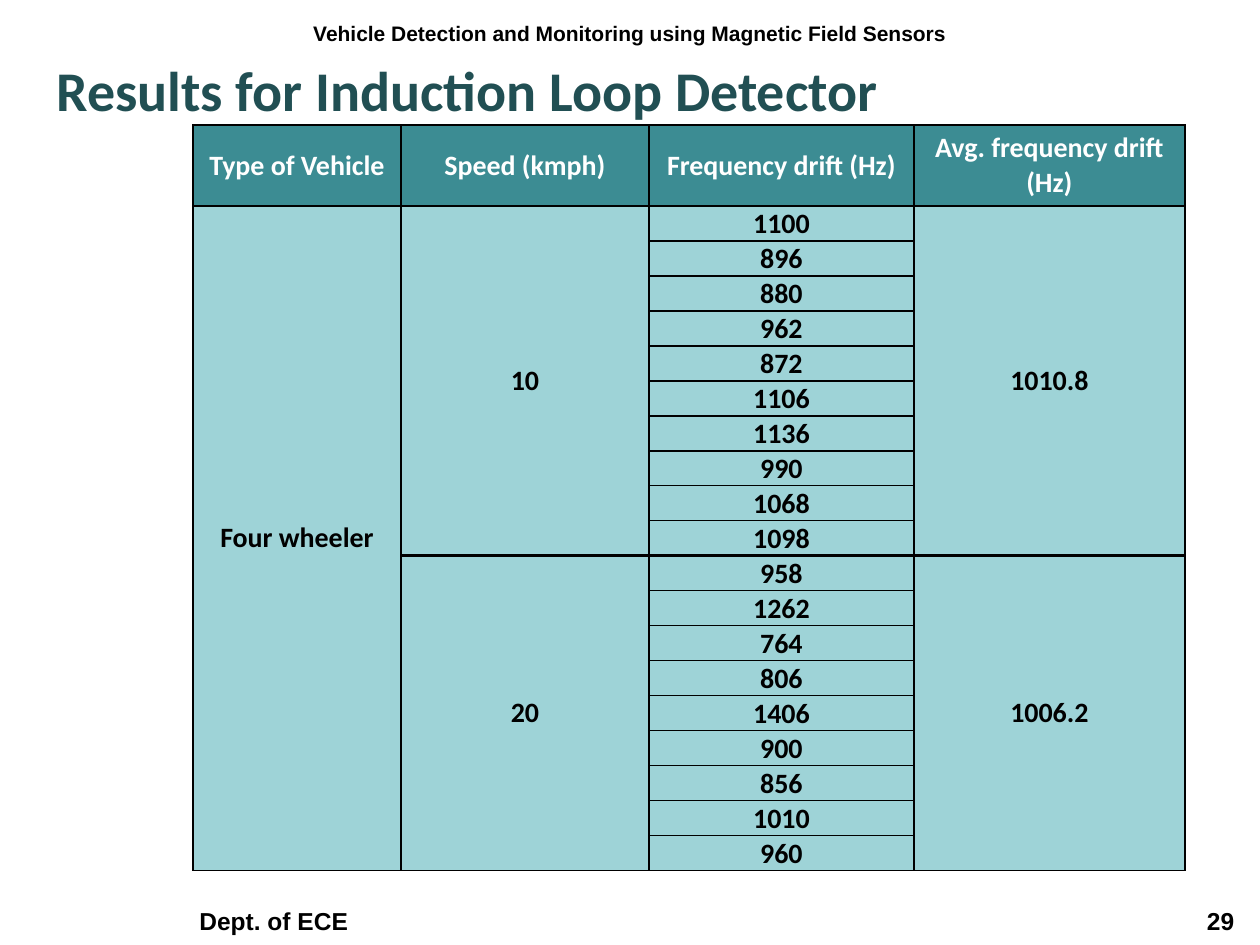
from dataclasses import dataclass

from lxml.etree import SubElement
from pptx import Presentation
from pptx.dml.color import RGBColor
from pptx.enum.text import MSO_ANCHOR, PP_ALIGN
from pptx.oxml.ns import qn
from pptx.util import Emu, Pt

PX = 914400 // 126


@dataclass(frozen=True)
class Theme:
    """Colours, fonts and type sizes of the slide."""
    ink: str = "000000"
    heading: str = "214F53"
    head_fill: str = "3C8C93"
    body_fill: str = "9ED3D7"
    head_ink: str = "FFFFFF"
    sans: str = "Arial"
    body: str = "Calibri"
    running_size: int = 12
    footer_size: int = 14
    table_size: int = 16
    heading_size: int = 32
    rule: float = 1
    divider: float = 2.25


def px(length):
    """Turn whole pixels into EMU."""
    return Emu(length * PX)


def set_all(target, values):
    """Set every named attribute of the target."""
    for name, value in values.items():
        setattr(target, name, value)


class ResultsSlide:
    """Holds the theme and the current slide."""

    def __init__(self, deck, theme):
        """Add a blank slide to the deck."""
        self.theme = theme
        self.slide = deck.slides.add_slide(deck.slide_layouts[6])

    def bold_line(self, paragraph, words, size, font, colour, align):
        """Fill a paragraph with bold text."""
        paragraph.text = words
        paragraph.alignment = align
        set_all(paragraph.font, {"size": Pt(size), "name": font, "bold": True})
        paragraph.font.color.rgb = RGBColor.from_string(colour)

    def text(self, words, box, size, font, colour, align=PP_ALIGN.LEFT,
             anchor=MSO_ANCHOR.TOP, tabs=()):
        """Add a wrapped text box with optional tab stops."""
        frame = self.slide.shapes.add_textbox(*map(px, box)).text_frame
        set_all(frame, {"word_wrap": True, "vertical_anchor": anchor})
        paragraph = frame.paragraphs[0]
        if tabs:
            stops = SubElement(paragraph._p.get_or_add_pPr(), qn("a:tabLst"))
            for position, side in tabs:
                SubElement(stops, qn("a:tab"), pos=str(px(position)), algn=side)
        self.bold_line(paragraph, words, size, font, colour, align)

    def borders(self, cell, top, bottom):
        """Draw the four borders of a cell."""
        widths = {"a:lnL": self.theme.rule, "a:lnR": self.theme.rule,
                  "a:lnT": top, "a:lnB": bottom}
        properties = cell._tc.get_or_add_tcPr()
        for place, (tag, width) in enumerate(widths.items()):
            line = properties.makeelement(qn(tag), {"w": str(Pt(width))})
            fill = SubElement(line, qn("a:solidFill"))
            SubElement(fill, qn("a:srgbClr"), val=self.theme.ink)
            properties.insert(place, line)

    def table(self, headers, vehicle, runs, origin, widths, head_height, row_height):
        """Add the results table with one merged block per speed."""
        theme = self.theme
        drifts = [drift for _, values, _ in runs for drift in values]
        height = head_height + row_height * len(drifts)
        grid = self.slide.shapes.add_table(
            len(drifts) + 1, len(headers), *map(px, (*origin, sum(widths), height))).table
        for column, width in zip(grid.columns, widths):
            column.width = px(width)
        for row in grid.rows:
            row.height = px(row_height)
        grid.rows[0].height = px(head_height)

        entries = {(0, column): header for column, header in enumerate(headers)}
        entries[1, 0] = vehicle
        entries.update({(row, 2): str(drift) for row, drift in enumerate(drifts, 1)})
        grid.cell(1, 0).merge(grid.cell(len(drifts), 0))
        starts, first = set(), 1
        for speed, values, average in runs:
            starts.add(first)
            last = first + len(values) - 1
            for column, entry in ((1, speed), (3, average)):
                entries[first, column] = str(entry)
                grid.cell(first, column).merge(grid.cell(last, column))
            first = last + 1
        dividers = starts - {1}

        tight = {"margin_left": px(1), "margin_right": px(1),
                 "margin_top": px(1), "margin_bottom": 0,
                 "vertical_anchor": MSO_ANCHOR.BOTTOM}
        for row in range(len(drifts) + 1):
            for column in range(len(headers)):
                cell = grid.cell(row, column)
                cell.vertical_anchor = MSO_ANCHOR.MIDDLE
                if row and column == 2:
                    set_all(cell, tight)
                cell.fill.solid()
                cell.fill.fore_color.rgb = RGBColor.from_string(
                    theme.body_fill if row else theme.head_fill)
                top, bottom = (theme.divider if column and edge in dividers else theme.rule
                               for edge in (row, row + 1))
                self.borders(cell, top, bottom)
                if (row, column) in entries:
                    self.bold_line(cell.text_frame.paragraphs[0], entries[row, column],
                                   theme.table_size, theme.body,
                                   theme.ink if row else theme.head_ink, PP_ALIGN.CENTER)


def main():
    """Build and save the slide."""
    deck = Presentation()
    set_all(deck, {"slide_width": px(1260), "slide_height": px(945)})
    theme = Theme()
    page = ResultsSlide(deck, theme)
    page.text("\tDept. of ECE\t29", (0, 892, 1260, 50), theme.footer_size, theme.sans,
              theme.ink, anchor=MSO_ANCHOR.BOTTOM, tabs=((187, "l"), (1222, "r")))
    page.text("Vehicle Detection and Monitoring using Magnetic Field Sensors",
              (0, 14, 1260, 50), theme.running_size, theme.sans, theme.ink,
              align=PP_ALIGN.CENTER)
    page.text("Results for Induction Loop Detector", (44, 49, 1187, 84),
              theme.heading_size, theme.body, theme.heading)
    page.table(
        ("Type of Vehicle", "Speed (kmph)", "Frequency drift (Hz)",
         "Avg. frequency drift (Hz)"),
        "Four wheeler",
        ((10, (1100, 896, 880, 962, 872, 1106, 1136, 990, 1068, 1098), 1010.8),
         (20, (958, 1262, 764, 806, 1406, 900, 856, 1010, 960), 1006.2)),
        origin=(193, 125), widths=(208, 248, 265, 271), head_height=81, row_height=35)
    deck.save("out.pptx")


if __name__ == "__main__":
    main()
